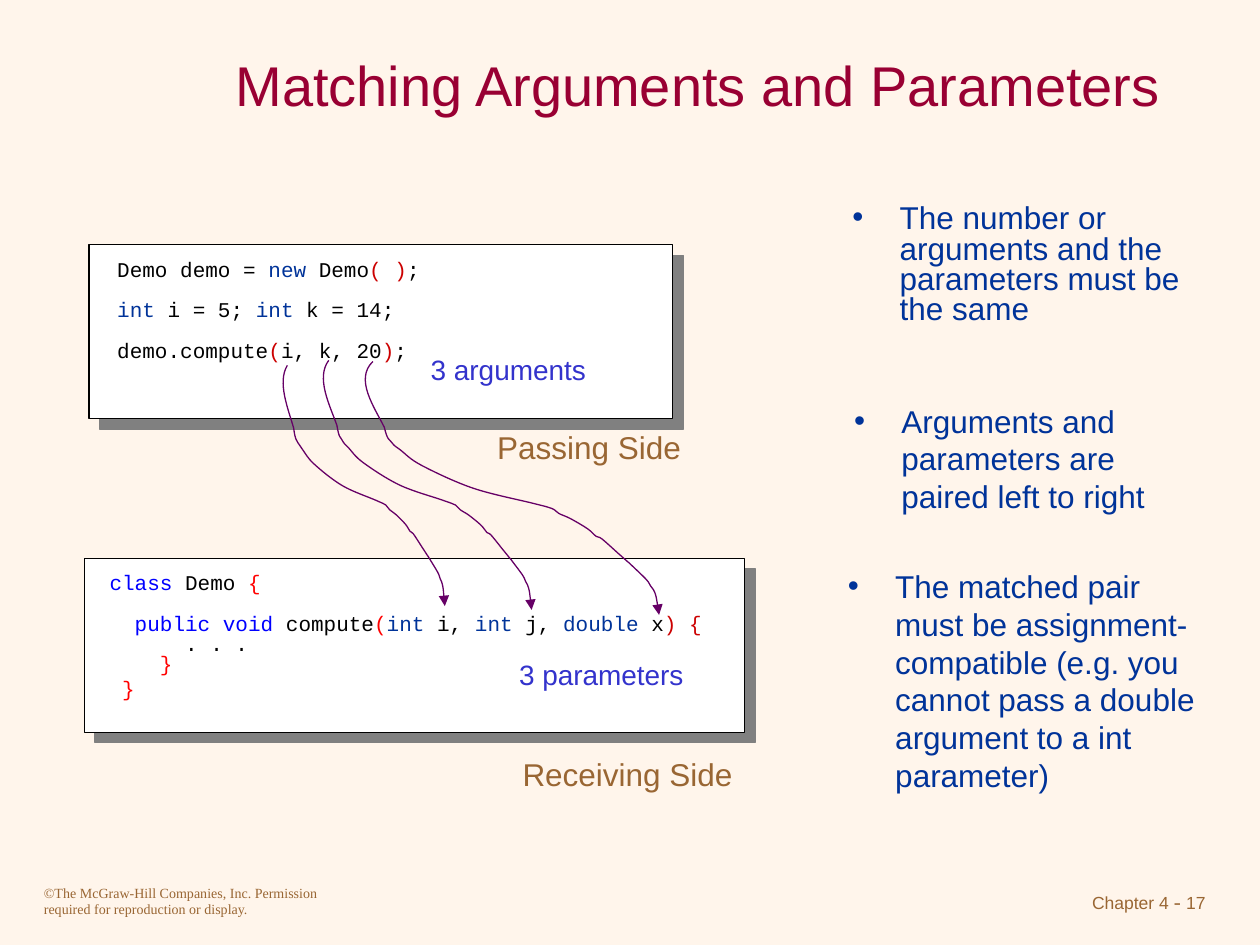
"""Build the slide on matching Java arguments with parameters."""
from lxml import etree
from pptx import Presentation
from pptx.dml.color import RGBColor
from pptx.enum import shapes, text
from pptx.oxml import ns, parse_xml
from pptx.util import Pt

CREAM = RGBColor(0xFF, 0xF5, 0xEB)
WHITE = RGBColor(0xFF, 0xFF, 0xFF)
BLACK = RGBColor(0, 0, 0)
MAROON = RGBColor(0x99, 0, 0x33)
NAVY = RGBColor(0, 0x33, 0x99)
BLUE = RGBColor(0, 0, 0xFF)
INDIGO = RGBColor(0x33, 0x33, 0xCC)
BROWN = RGBColor(0x99, 0x66, 0x33)
RED = RGBColor(0xFF, 0, 0)
DARK_RED = RGBColor(0xCC, 0, 0)
PURPLE = RGBColor(0x66, 0, 0x66)
GRAY = RGBColor(0x80, 0x80, 0x80)

SANS, SERIF, MONO = "Arial", "Times New Roman", "Courier New"

TITLE = "Matching Arguments and Parameters"
COPYRIGHT = "©The McGraw-Hill Companies, Inc. Permission required for reproduction or display."
PAGE = [("Chapter 4", SANS, 10), (" - ", SERIF, 12), ("17", SANS, 10)]

RULES = [
    ("The number or arguments and the parameters must be the same", (480, 114, 216, 84), 0.8),
    ("Arguments and parameters are paired left to right", (481, 226, 216, 91), 1),
    ("The matched pair must be assignment-compatible (e.g. you cannot pass a double "
     "argument to a int parameter)", (477.5, 320.5, 216, 137), 1),
]
LABELS = [
    ("3 arguments", (239, 197.8, 104, 26.5), 16, INDIGO),
    ("3 parameters", (289.5, 372.2, 110, 26.5), 16, INDIGO),
    ("Passing Side", (277, 241, 120, 29), 18, BROWN),
    ("Receiving Side", (291.5, 428, 135, 29), 18, BROWN),
]

BLANK_LINE = 11.5
RECEIVING_CODE = [
    (0, 0.8, [("class", BLUE), (" Demo ", BLACK), ("{", RED)]),
    (BLANK_LINE, 0.8, [
        ("  ", BLACK), ("public void", BLUE), (" compute", BLACK), ("(", RED),
        ("int", NAVY), (" i, ", BLACK), ("int", NAVY), (" j, ", BLACK),
        ("double", NAVY), (" x", BLACK), (") {", DARK_RED)]),
    (0, 0.8, [("      . . .", BLACK)]),
    (0, 0.8, [("    ", BLACK), ("}", RED)]),
    (0, 1, [(" ", BLACK), ("}", RED)]),
]
PASSING_CODE = [
    (0, 0.8, [("Demo demo = ", BLACK), ("new", NAVY), (" Demo", BLACK),
              ("( )", DARK_RED), (";", BLACK)]),
    (BLANK_LINE, 0.8, [("int", NAVY), (" i = 5; ", BLACK), ("int", NAVY), (" k = 14;", BLACK)]),
    (BLANK_LINE, 0.8, [("demo.compute", BLACK), ("(", DARK_RED), ("i, k, 20", BLACK),
                       (")", DARK_RED), (";", BLACK)]),
]
CODE_PANELS = [
    ((48.25, 319, 377.25, 99.5), (55.5, 324.9, 353, 79), RECEIVING_CODE),
    ((50.9, 139.8, 333.5, 99.4), (59.9, 145.8, 187, 65), PASSING_CODE),
]

ARROWS = [
    ((164.2, 208.8), (254.2, 346.3)),
    ((187.9, 205.9), (303.8, 348.5)),
    ((213.1, 206.6), (376.6, 351.4)),
]
FIRST_HANDLES = [(-6.5, 7), (0.5, 18)]
CURVE_PERCENT = [
    (0, 0), (4, 26), (6.6, 32), (9.7, 35), (17, 41), (35, 50), (56, 56), (62.5, 58),
    (65, 60), (69, 62), (75, 66), (78, 69), (80, 70), (86, 76), (89, 79), (90, 80),
    (95.5, 86), (97, 88.5), (98, 90), (99, 93), (100, 100),
]


def format_font(font, name, size, color):
    font.name, font.size, font.color.rgb = name, Pt(size), color


def add_text(slide, content, box, name, size, color, wrap=True):
    shape = slide.shapes.add_textbox(*map(Pt, box))
    frame = shape.text_frame
    frame.word_wrap = wrap
    frame.text = content
    for run in frame.paragraphs[0].runs:
        format_font(run.font, name, size, color)
    return frame


def add_rule(slide, content, box, spacing):
    frame = add_text(slide, content, box, SANS, 18, NAVY)
    paragraph = frame.paragraphs[0]
    properties = paragraph._p.get_or_add_pPr()
    properties.set("marL", str(Pt(27)))
    properties.set("indent", str(Pt(-27)))
    color = etree.SubElement(properties, ns.qn("a:buClr"))
    etree.SubElement(color, ns.qn("a:srgbClr"), val=str(NAVY))
    etree.SubElement(properties, ns.qn("a:buFont"), typeface=SANS)
    etree.SubElement(properties, ns.qn("a:buChar"), char="•")
    paragraph.line_spacing = spacing


def add_code_panel(slide, panel_box, text_box, lines):
    panel = slide.shapes.add_shape(shapes.MSO_SHAPE.RECTANGLE, *map(Pt, panel_box))
    panel.fill.solid()
    panel.fill.fore_color.rgb = WHITE
    panel.line.color.rgb = BLACK
    panel.line.width = Pt(0.75)
    panel._element.spPr.append(parse_xml(
        f'<a:effectLst {ns.nsdecls("a")}><a:outerShdw dist="{Pt(8.5)}" dir="2700000" '
        f'algn="ctr" rotWithShape="0"><a:srgbClr val="{GRAY}"/></a:outerShdw></a:effectLst>'))
    frame = add_text(slide, "", text_box, MONO, 12, BLACK, wrap=False)
    for index, (before, spacing, pieces) in enumerate(lines):
        paragraph = frame.add_paragraph() if index else frame.paragraphs[0]
        paragraph.line_spacing = spacing
        paragraph.space_before = Pt(before)
        for content, color in pieces:
            run = paragraph.add_run()
            run.text = content
            format_font(run.font, MONO, 12, color)


def bezier_percent():
    knots = CURVE_PERCENT
    points = [knots[0], *FIRST_HANDLES, knots[1]]
    for a, b, c, d in zip(knots, knots[1:], knots[2:], knots[3:] + knots[-1:]):
        points.append(tuple(q + (r - p) / 6 for p, q, r in zip(a, b, c)))
        points.append(tuple(r - (s - q) / 6 for q, r, s in zip(b, c, d)))
        points.append(c)
    return points


def add_curved_arrow(slide, start, end):
    points = [tuple(Pt(first + (last - first) * share / 100)
                    for first, last, share in zip(start, end, percent))
              for percent in bezier_percent()]
    builder = slide.shapes.build_freeform(*points[0])
    builder.add_line_segments(points[1:], close=False)
    curve = builder.convert_to_shape()
    lines = list(curve._element.iter(ns.qn("a:lnTo")))
    for handle, second, target in zip(lines[::3], lines[1::3], lines[2::3]):
        segment = etree.Element(ns.qn("a:cubicBezTo"))
        handle.addprevious(segment)
        for line in (handle, second, target):
            segment.append(line[0])
            line.getparent().remove(line)
    curve.shadow.inherit = False
    curve.fill.background()
    curve.line.color.rgb = PURPLE
    curve.line.width = Pt(0.75)
    etree.SubElement(curve.line._get_or_add_ln(), ns.qn("a:tailEnd"), type="triangle")


def main():
    presentation = Presentation()
    presentation.slide_width, presentation.slide_height = Pt(720), Pt(540)
    slide = presentation.slides.add_slide(presentation.slide_layouts[6])
    slide.background.fill.solid()
    slide.background.fill.fore_color.rgb = CREAM

    title = add_text(slide, TITLE, (108, 18, 582, 60), SANS, 32, MAROON)
    title.vertical_anchor = text.MSO_ANCHOR.MIDDLE
    title.paragraphs[0].alignment = text.PP_ALIGN.CENTER

    footer = add_text(slide, COPYRIGHT, (18, 492, 180, 36), SERIF, 8, BROWN)
    footer.margin_top = Pt(13.2)
    page = add_text(slide, "", (540, 492, 156, 36), SANS, 10, BROWN)
    page.margin_top = Pt(16)
    page.paragraphs[0].alignment = text.PP_ALIGN.RIGHT
    for content, name, size in PAGE:
        run = page.paragraphs[0].add_run()
        run.text = content
        format_font(run.font, name, size, BROWN)

    for panel in CODE_PANELS:
        add_code_panel(slide, *panel)
    for content, box, size, color in LABELS:
        add_text(slide, content, box, SANS, size, color, wrap=False)
    for arrow in ARROWS:
        add_curved_arrow(slide, *arrow)
    for rule in RULES:
        add_rule(slide, *rule)
    presentation.save("out.pptx")


if __name__ == "__main__":
    main()
